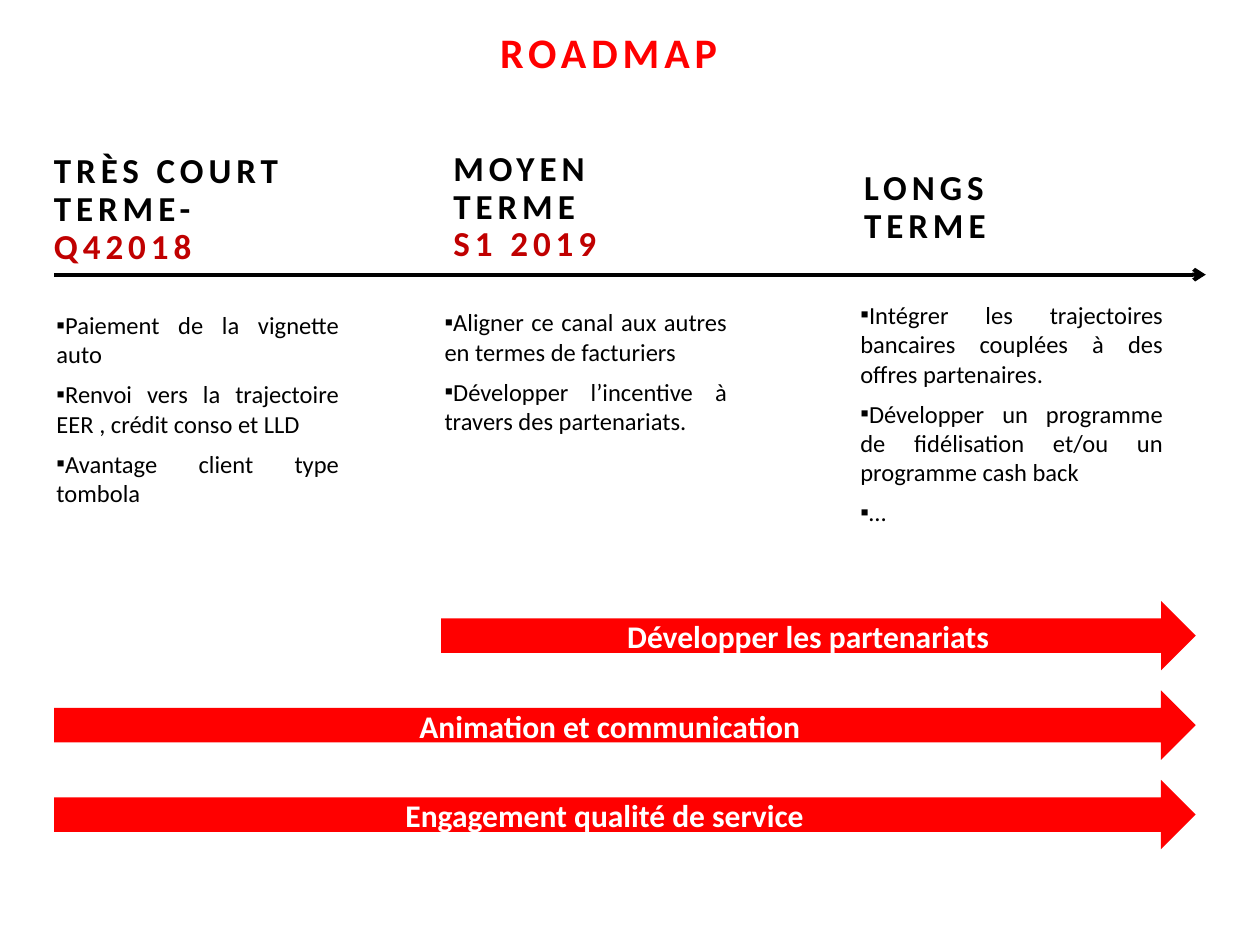
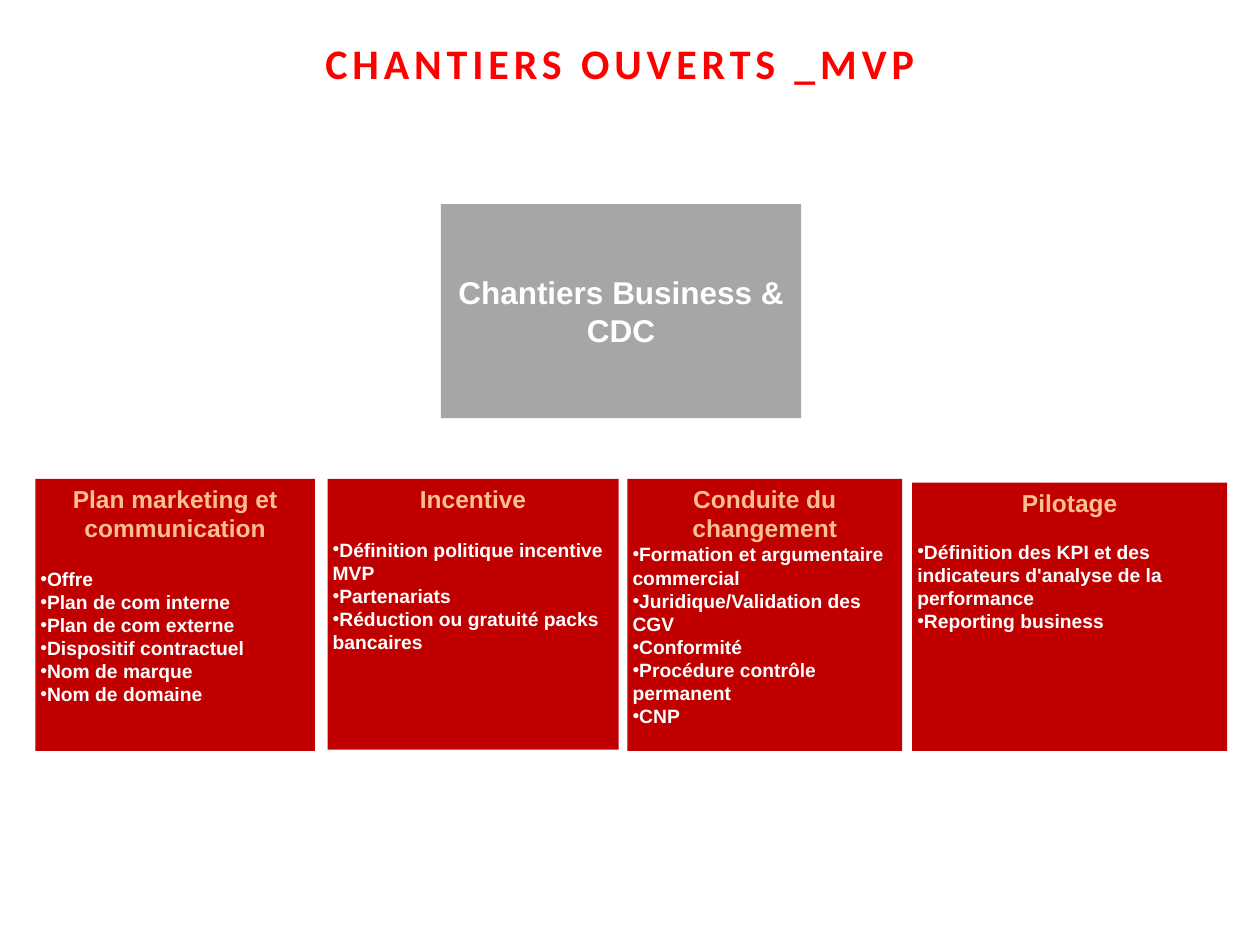
"""Build the roadmap slide and the open work streams slide."""
from dataclasses import dataclass

import pptx
import pptx.dml.color
import pptx.enum.shapes
import pptx.enum.text
import pptx.oxml.ns
import pptx.util
from lxml import etree

RGBColor = pptx.dml.color.RGBColor
Align = pptx.enum.text.PP_ALIGN
Anchor = pptx.enum.text.MSO_ANCHOR
Fit = pptx.enum.text.MSO_AUTO_SIZE
Kind = pptx.enum.shapes.MSO_SHAPE

RED = RGBColor(0xFF, 0x00, 0x00)
DARK = RGBColor(0xC0, 0x00, 0x00)
PEACH = RGBColor(0xFA, 0xC0, 0x90)
GREY = RGBColor(0xA6, 0xA6, 0xA6)
WHITE = RGBColor(0xFF, 0xFF, 0xFF)
BLACK = RGBColor(0x00, 0x00, 0x00)

WIDE, HIGH = pptx.util.Inches(10), pptx.util.Inches(7.5)
COLS, ROWS = 100, 75
LEFT = 4.3
STEP = 7.1


@dataclass(frozen=True)
class Area:
    """A place on the grid, in columns and rows."""
    col: float
    row: float
    cols: float
    rows: float


@dataclass(frozen=True)
class Style:
    """The look of a run."""
    size: float
    color: RGBColor
    font: str = "Calibri"
    bold: bool = True
    track: float = 0


@dataclass(frozen=True)
class Para:
    """A paragraph: its runs and its layout."""
    runs: tuple[tuple[str, Style], ...]
    align: Align = Align.LEFT
    lead: float = 1.0
    gap: float = 0
    mark: str = ""


@dataclass(frozen=True)
class Phase:
    """A stage of the roadmap: heading and points."""
    head: Area
    lines: tuple[Para, ...]
    body: Area
    points: tuple[str, ...]


@dataclass(frozen=True)
class Band:
    """A wide arrow with its label."""
    label: str
    col: float
    start: float
    width: float


@dataclass(frozen=True)
class Card:
    """A work stream with its tasks."""
    area: Area
    head: str
    gap: float
    tasks: tuple[str, ...]


TITLE = Style(24, RED, track=2.8)
HEAD = Style(20, BLACK, track=2.8)
DATE = Style(20, DARK, track=2.8)
POINT = Style(14, BLACK, bold=False)
LABEL = Style(18, WHITE)
HUB = Style(18, WHITE, "Arial")
NAME = Style(14, PEACH, "Arial")
TASK = Style(11, WHITE, "Arial")


def head(*runs: tuple[str, Style]) -> Para:
    """Make a tight heading line."""
    return Para(runs, lead=0.9)


PHASES = (
    Phase(Area(3.3, 11.7, 23.6, 10.1),
          (head(("TRÈS COURT TERME-", HEAD), ("Q42018", DATE)),),
          Area(3.5, 24.1, 24.4, 16.8),
          ("Paiement de la vignette auto",
           "Renvoi vers la trajectoire EER , crédit conso et LLD",
           "Avantage client type tombola")),
    Phase(Area(35, 11.5, 22.8, 10.1),
          (head(("MOYEN TERME", HEAD)), head(("S1 2019", DATE))),
          Area(34.3, 23.9, 24.4, 11.3),
          ("Aligner ce canal aux autres en termes de facturiers",
           "Développer l’incentive à travers des partenariats.")),
    Phase(Area(67.6, 13, 18.1, 7.1),
          (head(("LONGS TERME", HEAD)),),
          Area(67.3, 23.3, 26, 21.5),
          ("Intégrer les trajectoires bancaires couplées à des offres partenaires.",
           "Développer un programme de fidélisation et/ou un programme cash back",
           "…")),
)

BANDS = (
    Band("Développer les partenariats", 35, 35.8, 56.7),
    Band("Animation et communication", LEFT, LEFT, 88.2),
    Band("Engagement qualité de service", LEFT, LEFT, 87.4),
)

CARDS = (
    Card(Area(2.8, 38, 22.2, 21.6), "Plan marketing et communication", 14,
         ("Offre", "Plan de com interne", "Plan de com externe",
          "Dispositif contractuel", "Nom de marque", "Nom de domaine")),
    Card(Area(26, 38, 23.1, 21.5), "Incentive", 14,
         ("Définition politique incentive MVP", "Partenariats",
          "Réduction ou gratuité packs bancaires")),
    Card(Area(49.8, 38, 21.8, 21.6), "Conduite du changement", 0,
         ("Formation et argumentaire commercial", "Juridique/Validation des CGV",
          "Conformité", "Procédure contrôle permanent", "CNP")),
    Card(Area(72.4, 38.3, 25, 21.3), "Pilotage", 13,
         ("Définition des KPI et des indicateurs d'analyse de la performance",
          "Reporting business")),
)


def across(cols: float) -> int:
    """Turn columns into a length."""
    return round(WIDE * cols / COLS)


def down(rows: float) -> int:
    """Turn rows into a length."""
    return round(HIGH * rows / ROWS)


def frame(area: Area) -> tuple[int, int, int, int]:
    """Turn an area into left, top, width and height."""
    return across(area.col), down(area.row), across(area.cols), down(area.rows)


def add(node, tag: str, **attrs: str) -> None:
    """Append a drawing element to a node."""
    etree.SubElement(node, pptx.oxml.ns.qn(tag), **attrs)


def write(text, paras: tuple[Para, ...]) -> None:
    """Fill a text frame run by run."""
    for spot, para in enumerate(paras):
        line = text.add_paragraph() if spot else text.paragraphs[0]
        line.alignment = para.align
        line.line_spacing = para.lead
        line.space_before = pptx.util.Pt(para.gap if spot else 0)
        if para.mark:
            props = line._p.get_or_add_pPr()
            props.set("marL", "0")
            props.set("indent", "0")
            add(props, "a:buFont", typeface="Arial")
            add(props, "a:buChar", char=para.mark)
        for words, style in para.runs:
            run = line.add_run()
            run.text = words
            run.font.name = style.font
            run.font.size = pptx.util.Pt(style.size)
            run.font.bold = style.bold
            run.font.color.rgb = style.color
            if style.track:
                run._r.get_or_add_rPr().set("spc", str(round(style.track * 100)))


def note(slide, area: Area, paras: tuple[Para, ...], wrap: bool = True) -> None:
    """Draw a text box."""
    text = slide.shapes.add_textbox(*frame(area)).text_frame
    text.word_wrap = wrap
    text.auto_size = Fit.SHAPE_TO_FIT_TEXT
    write(text, paras)


def block(slide, kind: Kind, area: Area, fill: RGBColor,
          paras: tuple[Para, ...] = (), anchor: Anchor = Anchor.TOP) -> None:
    """Draw a flat filled shape, with text if any."""
    shape = slide.shapes.add_shape(kind, *frame(area))
    shape.shadow.inherit = False
    shape.fill.solid()
    shape.fill.fore_color.rgb = fill
    shape.line.fill.background()
    text = shape.text_frame
    text.word_wrap = True
    text.vertical_anchor = anchor
    text.margin_left = text.margin_right = across(0.4)
    text.margin_top = text.margin_bottom = down(0.4)
    write(text, paras)


def title(slide, words: str, area: Area) -> None:
    """Draw the slide title."""
    note(slide, area, (Para(((words, TITLE),), Align.CENTER, 0.9),), wrap=False)


def axis(slide, row: float) -> None:
    """Draw the time line."""
    line = slide.shapes.add_connector(
        pptx.enum.shapes.MSO_CONNECTOR.STRAIGHT,
        across(LEFT), down(row), across(COLS - LEFT), down(row))
    line.line.color.rgb = BLACK
    line.line.width = pptx.util.Pt(2.25)
    add(line.line._get_or_add_ln(), "a:tailEnd", type="arrow")
    add(line._element.spPr, "a:effectLst")


def roadmap(slide) -> None:
    """Draw the roadmap."""
    title(slide, "ROADMAP", Area(38.4, 2.1, 19.8, 4.6))
    axis(slide, 21.8)
    for phase in PHASES:
        note(slide, phase.head, phase.lines)
        note(slide, phase.body, tuple(
            Para(((point, POINT),), Align.JUSTIFY, gap=6, mark="▪")
            for point in phase.points))
    for spot, band in enumerate(BANDS):
        row = 47.7 + spot * STEP
        block(slide, Kind.RIGHT_ARROW, Area(band.col, row, 94.9 - band.col, 5.5), RED)
        note(slide, Area(band.start, row + 0.8, band.width, 4),
             (Para(((band.label, LABEL),), Align.CENTER),))


def streams(slide) -> None:
    """Draw the open work streams."""
    title(slide, "CHANTIERS OUVERTS _MVP", Area(24.4, 2.9, 49.6, 4.6))
    block(slide, Kind.RECTANGLE, Area(35, 16.2, 28.6, 17), GREY,
          (Para((("Chantiers Business & CDC", HUB),), Align.CENTER),), Anchor.MIDDLE)
    for card in CARDS:
        tasks = tuple(Para(((task, TASK),), gap=0 if spot else card.gap, mark="•")
                      for spot, task in enumerate(card.tasks))
        block(slide, Kind.RECTANGLE, card.area, DARK,
              (Para(((card.head, NAME),), Align.CENTER), *tasks))


def main() -> None:
    """Build and save the deck."""
    deck = pptx.Presentation()
    deck.slide_width, deck.slide_height = WIDE, HIGH
    for draw in (roadmap, streams):
        draw(deck.slides.add_slide(deck.slide_layouts[6]))
    deck.save("out.pptx")


if __name__ == "__main__":
    main()
